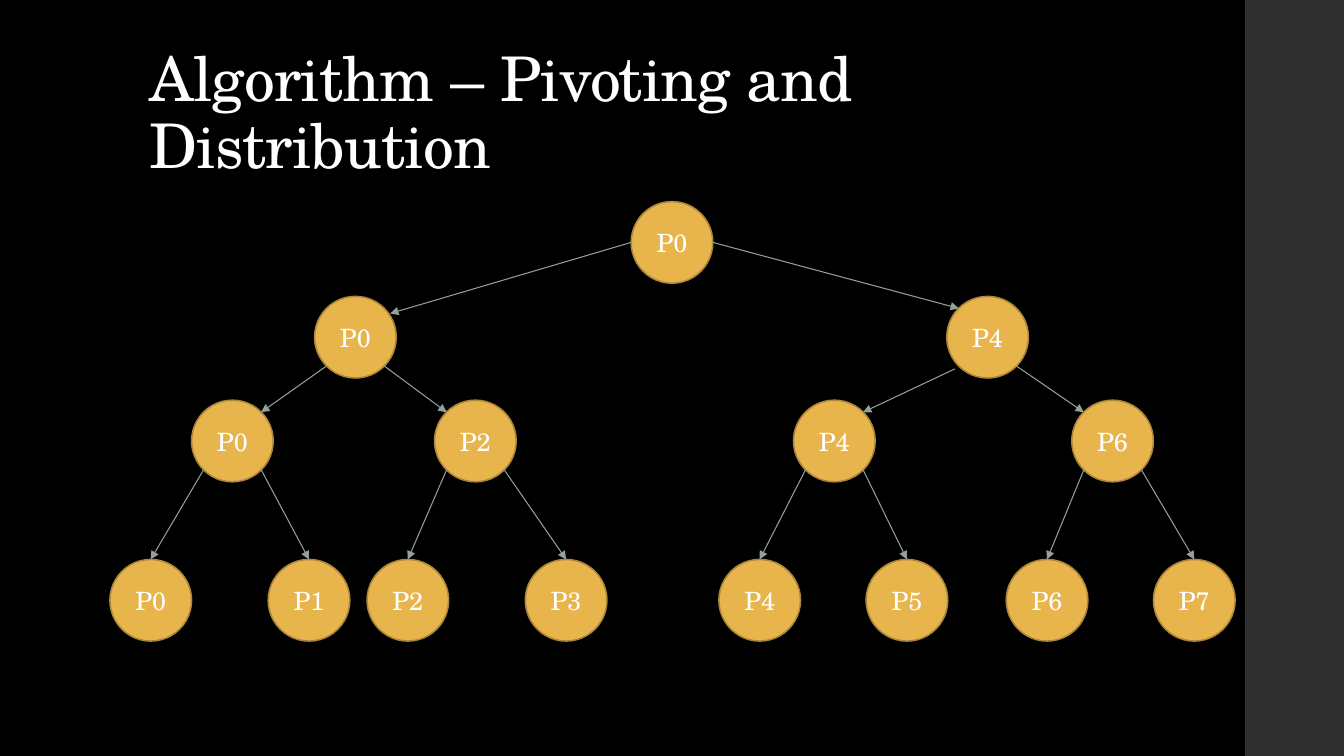
import pptx
import pptx.util
import pptx.dml.color
import pptx.enum.shapes
import pptx.enum.text
import pptx.oxml.ns
import lxml.etree

PX = 9144  # EMU per px, 100 px to the inch
FONT = "TeX Gyre Schola"
COLORS = {"page": "000000", "bar": "303030", "text": "FFFFFF",
          "node": "E8B54D", "rim": "AC8639", "arrow": "93A299"}

NODE = 81    # diameter of a node
INSET = 12   # from the node's box to its circle, along a diagonal
# Top of each level, then the left of each of its nodes
LEVELS = [(200, [626]),
          (294, [312, 939]),
          (397, [190, 431, 787, 1063]),
          (555, [109, 266, 364, 521, 713, 859, 998, 1144])]
# Ends of arrows that sit off the circle, by level and index of the child
BEGIN_SHIFT = {(2, 2): (-4, 3)}
END_SHIFT = {(1, 0): (6, 5)}


def px(length):
    return pptx.util.Emu(round(length * PX))


def color(name):
    return pptx.dml.color.RGBColor.from_string(COLORS[name])


def write(shape, text, size, align, anchor, line_spacing=1.0, tracking=None):
    frame = shape.text_frame
    frame.word_wrap = True
    frame.vertical_anchor = anchor
    para = frame.paragraphs[0]
    para.alignment = align
    para.line_spacing = line_spacing
    span = para.add_run()
    span.text = text
    span.font.name = FONT
    span.font.size = pptx.util.Pt(size)
    span.font.color.rgb = color("text")
    if tracking is not None:
        span.font._element.set("spc", str(tracking))


def add_box(page, kind, box, fill, rim=None):
    shape = page.shapes.add_shape(kind, *map(px, box))
    shape.shadow.inherit = False
    shape.fill.solid()
    shape.fill.fore_color.rgb = color(fill)
    if rim:
        shape.line.color.rgb = color(rim)
        shape.line.width = pptx.util.Pt(1.1)
    else:
        shape.line.fill.background()
    return shape


def add_arrow(page, begin, end):
    arrow = page.shapes.add_connector(
        pptx.enum.shapes.MSO_CONNECTOR.STRAIGHT, *map(px, begin + end))
    arrow.line.color.rgb = color("arrow")
    arrow.line.width = pptx.util.Pt(0.75)
    qn = pptx.oxml.ns.qn
    lxml.etree.SubElement(arrow.line._get_or_add_ln(), qn("a:tailEnd"), type="triangle")
    lxml.etree.SubElement(arrow._element.spPr, qn("a:effectLst"))
    return arrow


def add_title(page, box):
    title = page.shapes.title
    title.left, title.top, title.width, title.height = map(px, box)
    write(title, "Algorithm – Pivoting and Distribution", 44,
          pptx.enum.text.PP_ALIGN.LEFT, pptx.enum.text.MSO_ANCHOR.BOTTOM,
          line_spacing=0.9, tracking=-50)


def add_node(page, left, top, label):
    node = add_box(page, pptx.enum.shapes.MSO_SHAPE.OVAL,
                   (left, top, NODE, NODE), "node", "rim")
    write(node, label, 18, pptx.enum.text.PP_ALIGN.CENTER,
          pptx.enum.text.MSO_ANCHOR.MIDDLE)
    return node


def branch(page, depth, index, child):
    """Draw the arrow from a node's parent to the node."""
    parent_top, parents = LEVELS[depth - 1]
    top, lefts = LEVELS[depth]
    parent_left, left = parents[index // 2], lefts[index]
    is_right = index % 2 == 1
    is_leaf = depth == len(LEVELS) - 1

    # The root sends from its sides, other nodes from their lower diagonals
    edge = 0 if depth == 1 else INSET
    drop = NODE / 2 if depth == 1 else NODE - INSET
    begin_x = parent_left + (NODE - edge if is_right else edge)
    end_x = left + (INSET if is_right else NODE - INSET)
    begin_dx, begin_dy = BEGIN_SHIFT.get((depth, index), (0, 0))
    end_dx, end_dy = END_SHIFT.get((depth, index), (0, 0))
    arrow = add_arrow(page, (begin_x + begin_dx, parent_top + drop + begin_dy),
                      (end_x + end_dx, top + INSET + end_dy))
    if is_leaf:
        arrow.end_connect(child, 0)


def add_tree(page):
    leaves = len(LEVELS[-1][1])
    nodes = {}
    for depth, (top, lefts) in enumerate(LEVELS):
        step = leaves // len(lefts)
        for index, left in enumerate(lefts):
            nodes[depth, index] = add_node(page, left, top, f"P{index * step}")
    for (depth, index), node in nodes.items():
        if depth > 0:
            branch(page, depth, index, node)


def main():
    deck = pptx.Presentation()
    deck.slide_width, deck.slide_height = px(1333), px(750)
    page = deck.slides.add_slide(deck.slide_layouts[5])
    page.background.fill.solid()
    page.background.fill.fore_color.rgb = color("page")

    # Side bar, title and process tree
    add_box(page, pptx.enum.shapes.MSO_SHAPE.RECTANGLE, (1235, 0, 98, 750), "bar")
    add_title(page, (138, 40, 1060, 145))
    add_tree(page)
    deck.save("out.pptx")


if __name__ == "__main__":
    main()
